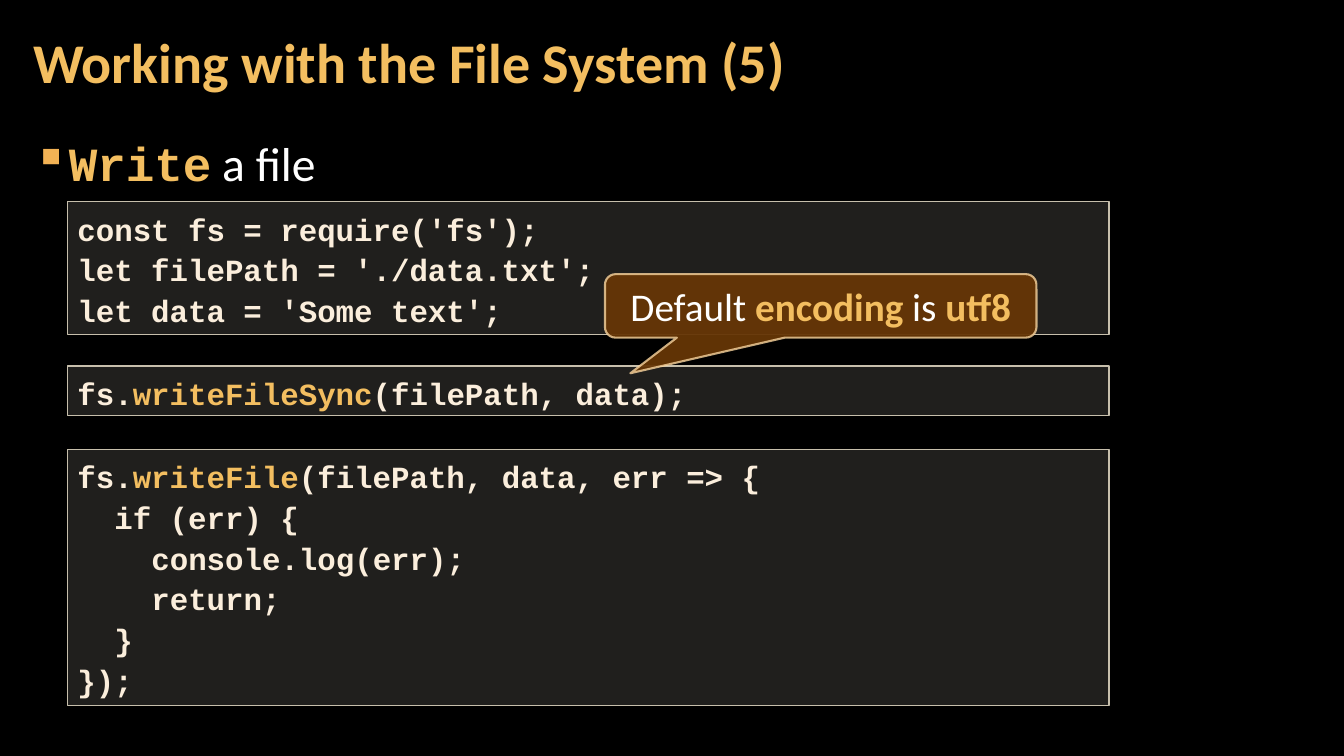
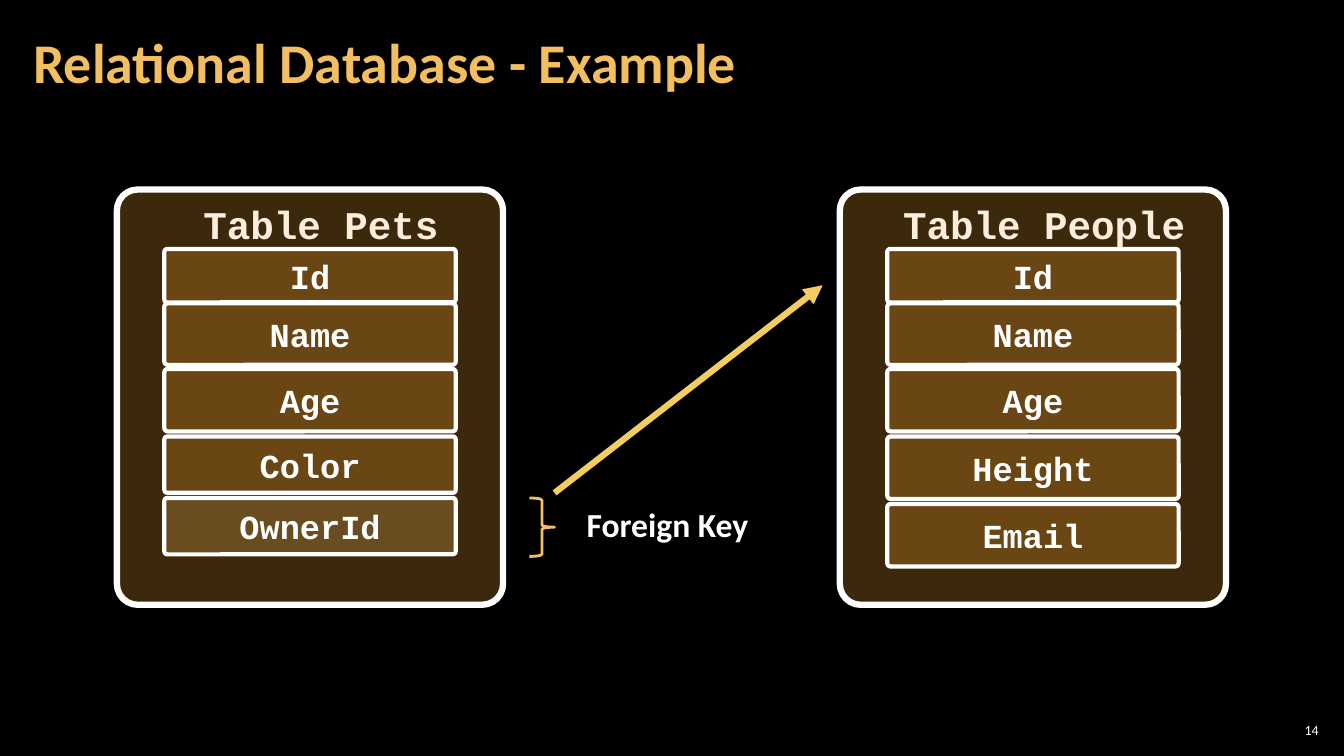
from lxml.etree import SubElement
from pptx import Presentation
from pptx.dml.color import RGBColor
from pptx.enum.shapes import MSO_CONNECTOR as Connector, MSO_SHAPE as Preset
from pptx.enum.text import MSO_ANCHOR as Anchor, PP_ALIGN as Align
from pptx.oxml.ns import qn
from pptx.util import Inches, Pt

COLORS = {
    "background": "000000", "white": "FFFFFF", "gold": "F3BE60",
    "bullet": "F2B254", "cream": "FBEEDC", "code": "D9D5C7",
    "code_line": "C7BFAC", "callout": "663606", "callout_line": "F8D49E",
    "amber": "F0A22E", "arrow": "F3CD60",
}
SANS, MONO = "Calibri", "Courier New"
CODE_SIZE = 22
CODE_STEP = 2 * 0.6 * CODE_SIZE / 72  # two monospaced characters, in inches

COMMON_FIELDS = [("Id", 0.59, 0.53), ("Name", 1.13, 0.61), ("Age", 1.78, 0.62)]
PETS_FIELDS = COMMON_FIELDS + [("Color", 2.45, 0.56), ("OwnerId", 3.06, 0.56)]
PEOPLE_FIELDS = COMMON_FIELDS + [("Height", 2.45, 0.62), ("Email", 3.12, 0.62)]


def color(name):
    return RGBColor.from_string(COLORS[name])


def set_opacity(fill_parent, percent):
    tint = fill_parent.find(qn("a:solidFill"))[0]
    SubElement(tint, qn("a:alpha"), val=str(percent * 1000))


def set_indent(para, left, first=0):
    properties = para._p.get_or_add_pPr()
    properties.set("marL", str(Inches(left)))
    properties.set("indent", str(Inches(first)))


def add_span(para, text, size, font=SANS, tone="white", bold=False):
    span = para.add_run()
    span.text = text
    span.font.size = Pt(size)
    span.font.name = font
    span.font.bold = bold
    span.font.color.rgb = color(tone)


def set_frame(box, anchor=Anchor.TOP, insets=(0.1, 0.05), wrap=True):
    """Set up the text frame of a box and return its first paragraph."""
    frame = box.text_frame
    frame.word_wrap = wrap
    frame.vertical_anchor = anchor
    frame.margin_left = frame.margin_right = Inches(insets[0])
    frame.margin_top = frame.margin_bottom = Inches(insets[1])
    para = frame.paragraphs[0]
    para.alignment = Align.LEFT
    return para


def add_text_box(page, at, **frame_options):
    box = page.shapes.add_textbox(*map(Inches, at))
    return set_frame(box, **frame_options)


def add_panel(page, preset, at, fill, opacity, line, width, adjustments=()):
    panel = page.shapes.add_shape(preset, *map(Inches, at))
    panel.shadow.inherit = False
    for index, value in enumerate(adjustments):
        panel.adjustments[index] = value
    if fill:
        panel.fill.solid()
        panel.fill.fore_color.rgb = color(fill)
        set_opacity(panel.element.spPr, opacity)
    else:
        panel.fill.background()
    panel.line.color.rgb = color(line)
    panel.line.width = Pt(width)
    return panel


def add_page(deck, title):
    page = deck.slides.add_slide(deck.slide_layouts[6])
    page.background.fill.solid()
    page.background.fill.fore_color.rgb = color("background")
    para = add_text_box(page, (0.21, 0.04, 10.47, 1.21),
                        anchor=Anchor.MIDDLE, insets=(0.12, 0.04))
    para.line_spacing = 0.9
    add_span(para, title, 40, tone="gold", bold=True)
    return page


def add_page_number(page, number):
    para = add_text_box(page, (12.65, 7.14, 0.47, 0.21),
                        anchor=Anchor.MIDDLE, insets=(0.04, 0.04))
    para.alignment = Align.RIGHT
    add_span(para, number, 10)


def add_bullet(page, at, keyword, rest):
    para = add_text_box(page, at, insets=(0.12, 0.04))
    para.line_spacing = 1.05
    para.space_before = para.space_after = Pt(6)
    set_indent(para, 0.33, -0.33)
    properties = para._p.get_or_add_pPr()
    bullet_color = SubElement(properties, qn("a:buClr"))
    SubElement(bullet_color, qn("a:srgbClr"), val=COLORS["bullet"])
    SubElement(properties, qn("a:buChar"), char="▪")
    add_span(para, keyword, 34, MONO, "gold", True)
    add_span(para, rest, 34)


def add_code(page, top, height, lines):
    """Each line is (indent level, text, ...); every second text is highlighted."""
    box = add_panel(page, Preset.RECTANGLE, (0.67, top, 10.33, height),
                    "code", 15, "code_line", 1)
    para = set_frame(box)
    for number, (level, *texts) in enumerate(lines):
        if number:
            para = box.text_frame.add_paragraph()
            para.alignment = Align.LEFT
        para.line_spacing = 1.1
        set_indent(para, level * CODE_STEP)
        for index, text in enumerate(texts):
            add_span(para, text, CODE_SIZE, MONO,
                     "gold" if index % 2 else "cream", True)


def add_callout(page, at, texts):
    """Every second text is highlighted."""
    callout = add_panel(page, Preset.ROUNDED_RECTANGULAR_CALLOUT, at, "callout",
                        95, "callout_line", 1.5, (-0.441, 1.061, 0.167))
    set_opacity(callout.line._get_or_add_ln(), 80)
    para = set_frame(callout, Anchor.MIDDLE, (0.2, 0.05), wrap=False)
    para.alignment = Align.CENTER
    for index, text in enumerate(texts):
        marked = index % 2 == 1
        add_span(para, text, 28, tone="gold" if marked else "white", bold=marked)


def add_entity(page, left, top, title, title_indent, fields, key=None):
    """Draw a database table; fields are (name, offset from top, height)."""
    panel = add_panel(page, Preset.ROUNDED_RECTANGLE, (left, top, 3.83, 4.12),
                      "amber", 25, "white", 4.5, (0.054,))
    para = set_frame(panel)
    set_indent(para, title_indent)
    add_span(para, title, 28, MONO, "cream", True)
    for name, offset, height in fields:
        field = add_panel(page, Preset.ROUNDED_RECTANGLE,
                          (left + 0.47, top + offset, 2.89, height),
                          "gold" if name == key else "amber", 25,
                          "white", 3, (0.053,))
        para = set_frame(field, Anchor.MIDDLE)
        para.alignment = Align.CENTER
        add_span(para, name, 24, MONO, bold=True)


def add_key_label(page, left, top, label):
    add_panel(page, Preset.RIGHT_BRACE, (left, top, 0.25, 0.58),
              None, 100, "gold", 2)
    para = add_text_box(page, (left + 0.41, top + 0.01, 1.92, 0.5))
    para.alignment = Align.CENTER
    add_span(para, label, 24, bold=True)


def add_arrow(page, start, end):
    arrow = page.shapes.add_connector(Connector.STRAIGHT,
                                      *map(Inches, start + end))
    arrow.line.color.rgb = color("arrow")
    arrow.line.width = Pt(4.5)
    SubElement(arrow.line._get_or_add_ln(), qn("a:tailEnd"), type="triangle")
    SubElement(arrow.element.spPr, qn("a:effectLst"))


def build_file_page(deck):
    page = add_page(deck, "Working with the File System (5)")
    add_bullet(page, (0.21, 1.26, 12.91, 6.09), "Write", " a file")
    add_code(page, 2, 1.32, [
        (0, "const fs = require('fs');"),
        (0, "let filePath = './data.txt';"),
        (0, "let data = 'Some text';"),
    ])
    add_code(page, 4.46, 2.54, [
        (0, "fs.", "writeFile", "(filePath, data, err => {"),
        (1, "if (err) {"),
        (2, "console.log(err);"),
        (2, "return;"),
        (1, "}"),
        (0, "});"),
    ])
    add_code(page, 3.63, 0.49, [(0, "fs.", "writeFileSync", "(filePath, data);")])
    add_callout(page, (6, 2.72, 4.28, 0.63),
                ("Default ", "encoding ", "is ", "utf8"))


def build_database_page(deck):
    page = add_page(deck, "Relational Database - Example")
    add_page_number(page, "14")
    add_entity(page, 1.16, 1.88, "Table Pets", 0.7, PETS_FIELDS, key="OwnerId")
    add_key_label(page, 5.25, 4.94, "Foreign Key")
    add_entity(page, 8.33, 1.88, "Table People", 0.47, PEOPLE_FIELDS)
    add_arrow(page, (5.5, 4.89), (8.16, 2.83))


def main():
    deck = Presentation()
    deck.slide_width = Inches(13.33)
    deck.slide_height = Inches(7.5)
    build_file_page(deck)
    build_database_page(deck)
    deck.save("out.pptx")


if __name__ == "__main__":
    main()
